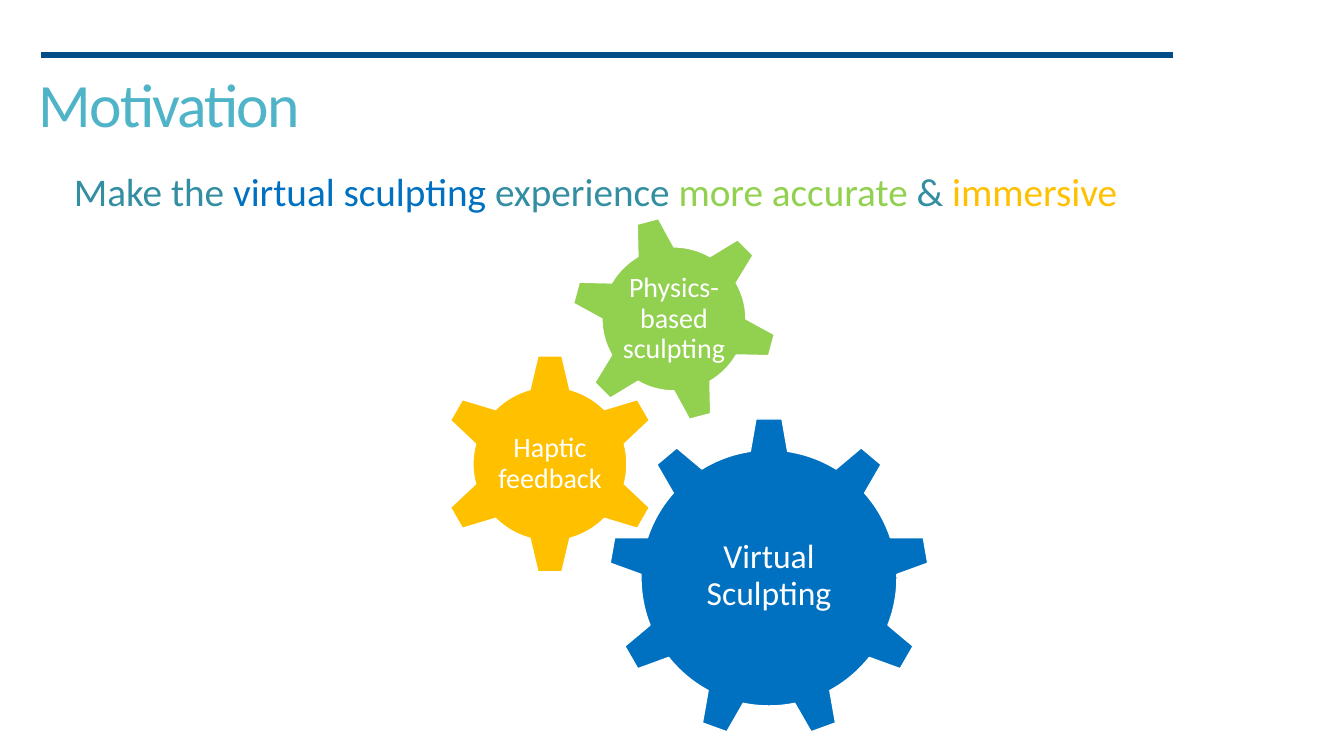
import math
from pptx import Presentation
from pptx import util as u
from pptx.dml.color import RGBColor
from pptx.enum import shapes, text
from pptx.oxml.ns import qn
from lxml import etree

PX = 914400 / 100.8  # EMU per px
TEAL, BLUE, GREEN, YELLOW, WHITE = "328EA0", "0070C0", "92D050", "FFC000", "FFFFFF"


def px(*lengths):
    return [u.Emu(round(length * PX)) for length in lengths]


def style(run, size, color):
    run.font.name = "Calibri"
    run.font.size = u.Pt(size)
    run.font.color.rgb = RGBColor.from_string(color)


deck = Presentation()
deck.slide_width, deck.slide_height = px(1344, 756)
slide = deck.slides.add_slide(deck.slide_layouts[5])

# Rule above the title
rule = slide.shapes.add_connector(shapes.MSO_CONNECTOR.STRAIGHT, *px(41, 55, 1173, 55))
rule.line.color.rgb = RGBColor.from_string("004D87")
rule.line.width = u.Pt(3.75)
etree.SubElement(rule._element.spPr, qn("a:effectLst"))

# Title
title = slide.shapes.title
title.left, title.top, title.width, title.height = px(32, 73, 1260, 72)
frame = title.text_frame
frame.text = "Motivation"
frame.auto_size = text.MSO_AUTO_SIZE.SHAPE_TO_FIT_TEXT
frame.vertical_anchor = text.MSO_ANCHOR.MIDDLE
frame.margin_left, frame.margin_right, frame.margin_top, frame.margin_bottom = px(7, 7, 4, 4)
heading = frame.paragraphs[0]
heading.alignment = text.PP_ALIGN.LEFT
heading.line_spacing = 0.85
style(heading.runs[0], 44, "50B4C8")
heading.runs[0].font._element.set("spc", "-120")

# Goal, with its key words in the colours of the gears
goal = slide.shapes.add_textbox(*px(64, 171, 1217, 42)).text_frame
goal.word_wrap = True
goal.margin_left, goal.margin_right, goal.margin_top, goal.margin_bottom = px(10, 10, 0, 0)
sentence = goal.paragraphs[0]
sentence.line_spacing = 0.95
for words, color in [("Make the ", TEAL), ("virtual sculpting", BLUE), (" experience ", TEAL),
                     ("more accurate", GREEN), (" & ", TEAL), ("immersive", YELLOW)]:
    run = sentence.add_run()
    run.text = words
    style(run, 28, color)

# Gears: label, text size, colour, centre, box side, teeth, turn, rim radius, half angle
# of a tooth's base, tip distance, half width of a tip, insets (sides, top, bottom)
gears = [
    ("Physics-based sculpting", 20, GREEN, 674, 319, 254, 6, -15, 72, 15, 101, 11, (66, 62, 62)),
    ("Haptic feedback", 20, YELLOW, 550, 464, 222, 6, 0, 77, 15, 108, 12, (49, 49, 49)),
    ("Virtual Sculpting", 24, BLUE, 769, 578, 320, 9, 0, 128, 8.4, 159, 13, (53, 62, 66)),
]
for label, size, color, x, y, side, teeth, turn, rim, base, tip, half_tip, insets in gears:
    pitch = 360 / teeth
    tip_angle = math.degrees(math.atan2(half_tip, tip))
    tip_radius = math.hypot(half_tip, tip)
    # Bezier handles of the rim arc between two teeth
    handle = 4 / 3 * math.tan(math.radians(pitch - 2 * base) / 4)
    handle_angle = math.degrees(math.atan(handle))
    handle_radius = rim * math.hypot(1, handle)
    outline = []
    for tooth in range(teeth):
        middle = turn + tooth * pitch
        start, end = middle + base, middle + pitch - base
        polar = [(tip_radius, middle - tip_angle), (tip_radius, middle + tip_angle),
                 (rim, start), (handle_radius, start + handle_angle),
                 (handle_radius, end - handle_angle), (rim, end)]
        outline += [px(x + radius * math.sin(math.radians(angle)),
                       y - radius * math.cos(math.radians(angle))) for radius, angle in polar]
    builder = slide.shapes.build_freeform(*outline[0])
    builder.add_line_segments(outline[1:], close=True)
    gear = builder.convert_to_shape()

    # Widen the frame to the full square box
    left, top, box = px(x - side / 2, y - side / 2, side)
    shift_x, shift_y = gear.left - left, gear.top - top
    contour = next(gear._element.iter(qn("a:path")))
    contour.set("w", str(box))
    contour.set("h", str(box))
    for point in contour.iter(qn("a:pt")):
        point.set("x", str(int(point.get("x")) + shift_x))
        point.set("y", str(int(point.get("y")) + shift_y))
    gear.left, gear.top, gear.width, gear.height = left, top, box, box

    # Round the rim: the last three points of each tooth make one curve
    lines = contour.findall(qn("a:lnTo"))
    for first in range(2, len(lines), 6):
        curve = etree.Element(qn("a:cubicBezTo"))
        lines[first].addprevious(curve)
        for line in lines[first:first + 3]:
            curve.append(line[0])
            contour.remove(line)

    gear.shadow.inherit = False
    gear.fill.solid()
    gear.fill.fore_color.rgb = RGBColor.from_string(color)
    gear.line.color.rgb = RGBColor.from_string(WHITE)
    gear.line.width = u.Pt(1)

    frame = gear.text_frame
    frame.text = label
    frame.word_wrap = True
    frame.vertical_anchor = text.MSO_ANCHOR.MIDDLE
    frame.margin_left, frame.margin_top, frame.margin_bottom = px(*insets)
    frame.margin_right = frame.margin_left
    caption = frame.paragraphs[0]
    caption.alignment = text.PP_ALIGN.CENTER
    caption.line_spacing = 0.9
    style(caption.runs[0], size, WHITE)

deck.save("out.pptx")
